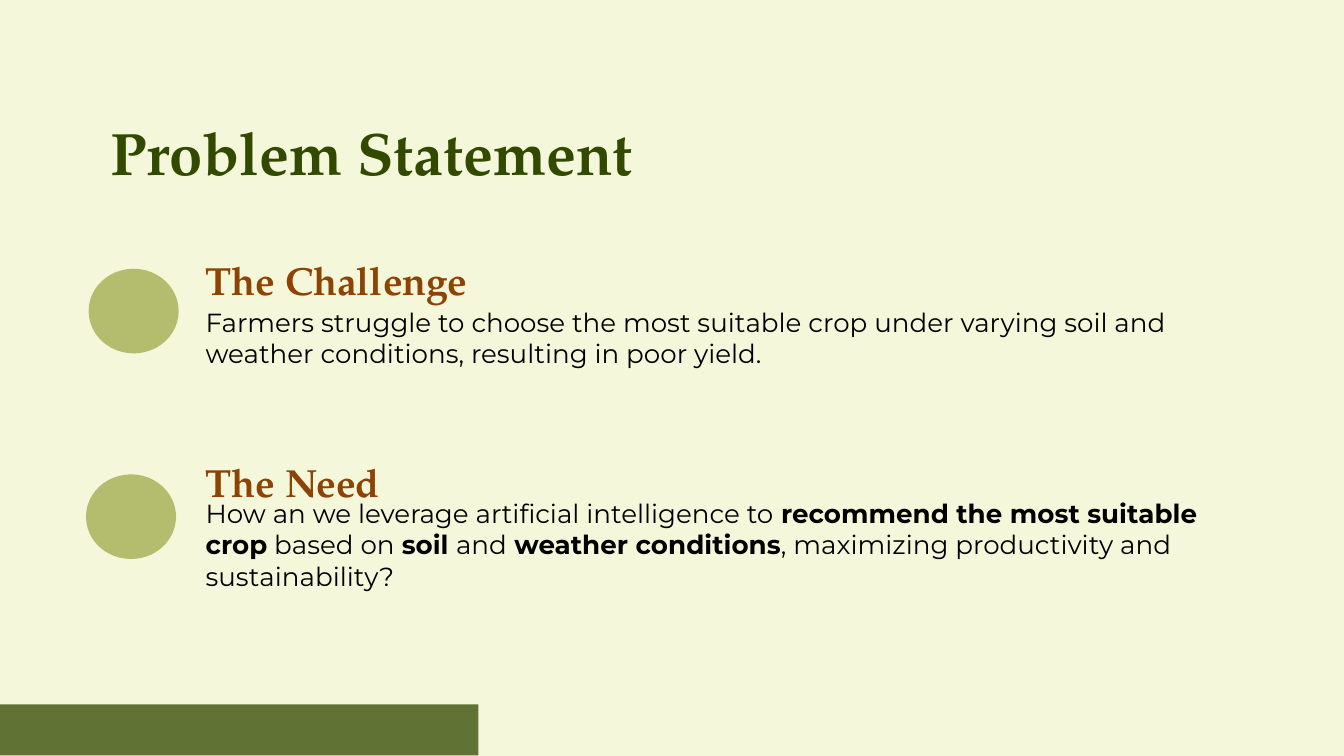
from typing import NamedTuple

from lxml.etree import SubElement
from pptx import Presentation
from pptx.dml.color import RGBColor
from pptx.enum.shapes import MSO_SHAPE
from pptx.enum.text import MSO_ANCHOR, MSO_AUTO_SIZE, PP_ALIGN
from pptx.oxml.ns import qn
from pptx.util import Inches, Pt

COLORS = {
    "background": "F4F7DA",
    "title": "324A00",
    "heading": "8C4303",
    "body": "000000",
    "marker": "B4BD6E",
}
SERIF, SANS = "TeX Gyre Pagella", "Montserrat"
SLIDE_WIDTH = Inches(10)
SLIDE_HEIGHT = SLIDE_WIDTH * 9 // 16
TEXT_LEFT = 1.43
MARKER_SIZE = (0.67, 0.63)


class Box(NamedTuple):
    left: float
    top: float
    width: float
    height: float


class Style(NamedTuple):
    font: str
    size: float
    color: str
    bold: bool
    anchor: MSO_ANCHOR


class Run(NamedTuple):
    text: str
    bold: bool = False


class Section(NamedTuple):
    heading: str
    heading_box: Box
    body: list[Run]
    body_box: Box
    marker_box: Box


TITLE = Style(SERIF, 32, "title", True, MSO_ANCHOR.TOP)
HEADING = Style(SERIF, 21, "heading", True, MSO_ANCHOR.MIDDLE)
BODY = Style(SANS, 14, "body", False, MSO_ANCHOR.MIDDLE)

SECTIONS = [
    Section(
        "The Challenge",
        Box(TEXT_LEFT, 1.81, 7.3, 0.54),
        [Run("Farmers struggle to choose the most suitable crop under varying "
             "soil and weather conditions, resulting in poor yield.")],
        Box(TEXT_LEFT, 1.61, 8.01, 1.8),
        Box(0.66, 2, *MARKER_SIZE),
    ),
    Section(
        "The Need",
        Box(TEXT_LEFT, 3.27, 8.11, 0.63),
        [
            Run("How an we leverage artificial intelligence to "),
            Run("recommend the most suitable crop", True),
            Run(" based on "),
            Run("soil ", True),
            Run("and"),
            Run(" weather conditions", True),
            Run(", maximizing productivity and sustainability?"),
        ],
        Box(TEXT_LEFT, 2.99, 8.01, 2.12),
        Box(0.64, 3.53, *MARKER_SIZE),
    ),
]


def rgb(name: str) -> RGBColor:
    return RGBColor.from_string(COLORS[name])


def set_attributes(target, values: dict) -> None:
    for name, value in values.items():
        setattr(target, name, value)


def fill_placeholder(placeholder, box: Box, runs: list[Run], style: Style) -> None:
    """Move a placeholder and write one unbulleted paragraph in it."""
    set_attributes(placeholder, {
        side: Inches(length) for side, length in box._asdict().items()
    })
    frame = placeholder.text_frame
    set_attributes(frame, {
        "word_wrap": True,
        "auto_size": MSO_AUTO_SIZE.NONE,
        "vertical_anchor": style.anchor,
        **{f"margin_{side}": Inches(0.1)
           for side in ("left", "top", "right", "bottom")},
    })
    paragraph = frame.paragraphs[0]
    set_attributes(paragraph, {
        "alignment": PP_ALIGN.LEFT, "space_before": Pt(0), "line_spacing": 1.0,
    })
    properties = paragraph._p.get_or_add_pPr()
    properties.set("marL", "0")
    properties.set("indent", "0")
    SubElement(properties, qn("a:buNone"))
    for part in runs:
        run = paragraph.add_run()
        run.text = part.text
        set_attributes(run.font, {
            "name": style.font,
            "size": Pt(style.size),
            "bold": style.bold or part.bold,
        })
        run.font.color.rgb = rgb(style.color)


def add_plain_shape(slide, kind: MSO_SHAPE, box: Box, color: str):
    shape = slide.shapes.add_shape(kind, *map(Inches, box))
    shape.shadow.inherit = False
    shape.fill.solid()
    shape.fill.fore_color.rgb = rgb(color)
    shape.line.fill.background()
    return shape


def set_opacity(shape, percent: int) -> None:
    color = shape._element.spPr.find(f"{qn('a:solidFill')}/{qn('a:srgbClr')}")
    SubElement(color, qn("a:alpha")).set("val", str(percent * 1000))


def main() -> None:
    deck = Presentation()
    deck.slide_width, deck.slide_height = SLIDE_WIDTH, SLIDE_HEIGHT
    comparison_layout = deck.slide_layouts[4]
    slide = deck.slides.add_slide(comparison_layout)
    slide.background.fill.solid()
    slide.background.fill.fore_color.rgb = rgb("background")

    title, *fields = slide.placeholders
    fill_placeholder(title, Box(0.72, 0.76, 8.49, 1.11),
                     [Run("Problem Statement")], TITLE)
    for section, heading, body in zip(SECTIONS, fields[::2], fields[1::2]):
        fill_placeholder(heading, section.heading_box,
                         [Run(section.heading)], HEADING)
        fill_placeholder(body, section.body_box, section.body, BODY)
        add_plain_shape(slide, MSO_SHAPE.OVAL, section.marker_box, "marker")

    footer_bar = add_plain_shape(slide, MSO_SHAPE.RECTANGLE,
                                 Box(0, 5.24, 3.56, 0.38), "title")
    set_opacity(footer_bar, 76)
    deck.save("out.pptx")


if __name__ == "__main__":
    main()
